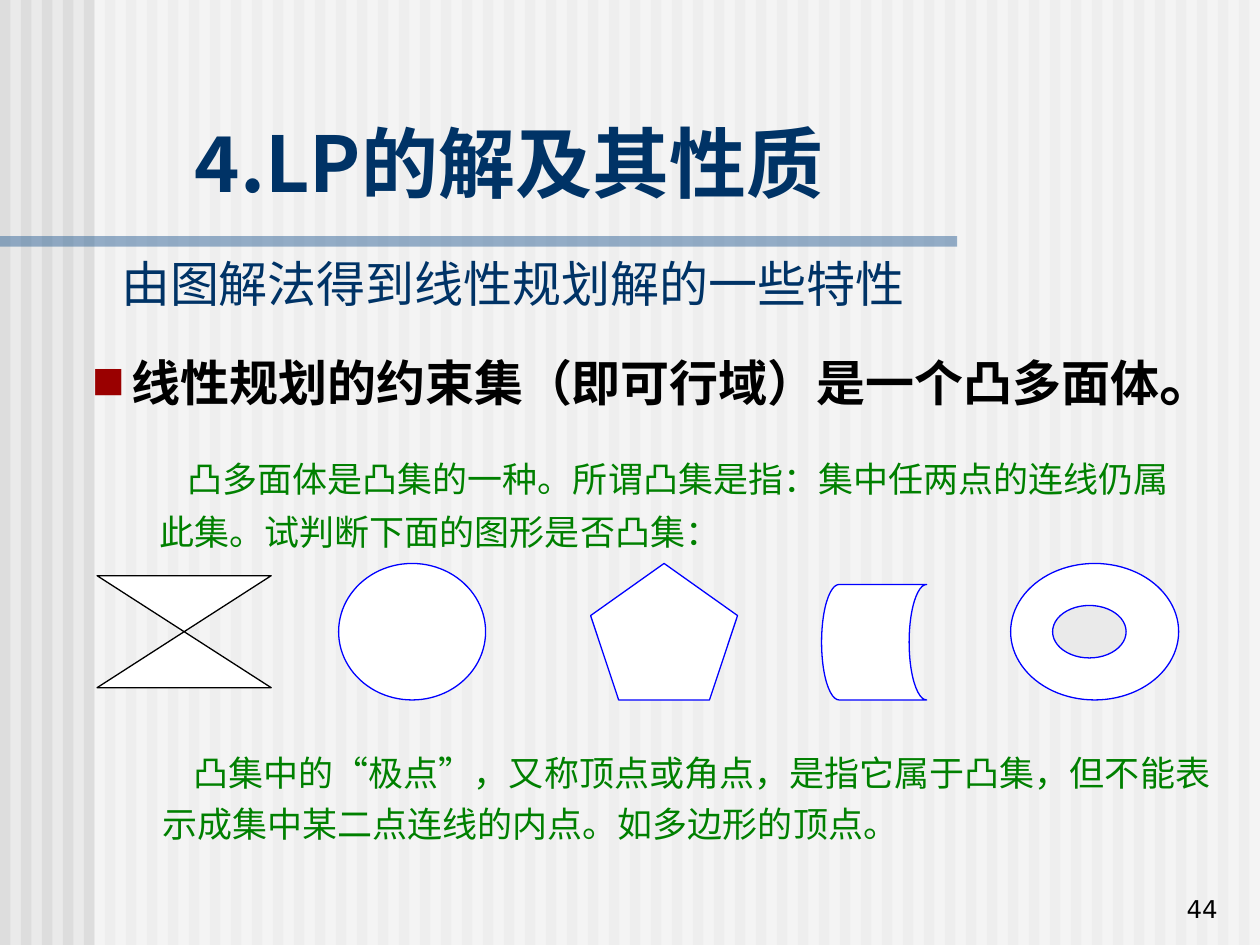
from lxml.etree import SubElement
from pptx import Presentation
from pptx.dml.color import RGBColor
from pptx.enum.shapes import MSO_SHAPE
from pptx.enum.text import MSO_ANCHOR, MSO_AUTO_SIZE, PP_ALIGN
from pptx.oxml.ns import qn
from pptx.util import Pt

BACK = RGBColor(0xEA, 0xEA, 0xEA)
STRIPE = RGBColor(0xDD, 0xDD, 0xDD)
WHITE = RGBColor(0xFF, 0xFF, 0xFF)
BLACK = RGBColor(0, 0, 0)
STEEL = RGBColor(0x33, 0x66, 0x99)
NAVY = RGBColor(0, 0x33, 0x66)
GREEN = RGBColor(0, 0x80, 0)
BLUE = RGBColor(0, 0, 0xFF)
SANS = "DejaVu Sans"
HAN = "Noto Sans CJK SC"

deck = Presentation()
deck.slide_width, deck.slide_height = Pt(720), Pt(540)
slide = deck.slides.add_slide(deck.slide_layouts[1])
slide.background.fill.solid()
slide.background.fill.fore_color.rgb = BACK
shapes = slide.shapes


def draw(kind, box, fill, line=None, alpha=None):
    shape = shapes.add_shape(kind, *map(Pt, box))
    shape.shadow.inherit = False
    shape.fill.solid()
    shape.fill.fore_color.rgb = fill
    if alpha:
        color = shape.fill._xPr.find(qn("a:solidFill"))[0]
        SubElement(color, qn("a:alpha"), val=str(alpha * 1000))
    if line is None:
        shape.line.fill.background()
    else:
        shape.line.color.rgb = line
        shape.line.width = Pt(0.75)


def write(shape, box, lines, font, color, bold=False, space=None,
          indent=0, align=PP_ALIGN.LEFT, anchor=MSO_ANCHOR.TOP):
    """Fill a shape with lines, each a list of (text, size) runs."""
    shape.left, shape.top, shape.width, shape.height = map(Pt, box)
    frame = shape.text_frame
    frame.word_wrap = True
    frame.auto_size = MSO_AUTO_SIZE.NONE
    frame.vertical_anchor = anchor
    for i, runs in enumerate(lines):
        para = frame.add_paragraph() if i else frame.paragraphs[0]
        para.alignment = align
        para.space_before = Pt(0)
        if space:
            para.line_spacing = Pt(space)
        if indent and i == 0:
            para._p.get_or_add_pPr().set("indent", str(Pt(indent)))
        for text, size in runs:
            run = para.add_run()
            run.text = text
            run.font.size = Pt(size)
            run.font.name = font
            run.font.bold = bold
            run.font.color.rgb = color
            SubElement(run._r.get_or_add_rPr(), qn("a:ea"), typeface=HAN)


# Striped backdrop, pale panel and rule
for i in range(60):
    draw(MSO_SHAPE.RECTANGLE, (12 * i, 0, 6, 540), STRIPE)
draw(MSO_SHAPE.RECTANGLE, (54, 0, 666, 540), WHITE, alpha=50)
draw(MSO_SHAPE.RECTANGLE, (0, 135, 547, 6), STEEL, alpha=50)

# Title and body, raised above the backdrop
title, body = slide.placeholders
for holder in (title, body):
    shapes._spTree.append(holder._element)
write(title, (62, 131, 612, 51), [[("由图解法得到线性规划解的一些特性", 28)]],
      SANS, NAVY, space=44, anchor=MSO_ANCHOR.BOTTOM)
write(body, (9.5, 183.5, 710.5, 61),
      [[("线性规划的约束集（即可行域）是一个凸多面体", 28), ("。", 32)]],
      SANS, BLACK, bold=True, space=49)

# Square red bullet
props = body.text_frame.paragraphs[0]._p.get_or_add_pPr()
props.set("marL", str(Pt(58.5)))
props.set("indent", str(Pt(-22.5)))
color = SubElement(props, qn("a:buClr"))
SubElement(color, qn("a:srgbClr"), val="9A0000")
SubElement(props, qn("a:buSzPct"), val="70000")
SubElement(props, qn("a:buFont"), typeface=SANS)
SubElement(props, qn("a:buChar"), char="■")

# Heading, explanations and page number
notes = [
    ((63, 57.5, 456, 60.5), [[("4.LP的解及其性质", 44)]], HAN, NAVY,
     dict(bold=True, space=58, align=PP_ALIGN.CENTER)),
    ((84, 252, 624, 65.5),
     [[("凸多面体是凸集的一种。所谓凸集是指：集中任两点的连线仍属", 20)],
      [("此集。试判断下面的图形是否凸集：", 20)]], HAN, GREEN,
     dict(space=30, indent=16)),
    ((85.5, 421, 619, 84),
     [[("凸集中的“极点”，又称顶点或角点，是指它属于凸集，但不能表", 20)],
      [("示成集中某二点连线的内点。如多边形的顶点。", 20)]], HAN, GREEN,
     dict(space=29, indent=18)),
    ((553, 495, 150, 36), [[("44", 14)]], SANS, BLACK,
     dict(align=PP_ALIGN.RIGHT, anchor=MSO_ANCHOR.BOTTOM)),
]
for box, lines, font, tone, style in notes:
    write(shapes.add_textbox(*map(Pt, box)), box, lines, font, tone, **style)

# Sets to be judged convex or not
sets = [
    (MSO_SHAPE.FLOWCHART_COLLATE, (55.5, 329, 99.5, 64), WHITE, BLACK),
    (MSO_SHAPE.OVAL, (193.5, 322, 84, 78), WHITE, BLUE),
    (MSO_SHAPE.REGULAR_PENTAGON, (337.5, 322, 84, 78), WHITE, BLUE),
    (MSO_SHAPE.FLOWCHART_STORED_DATA, (469.5, 334, 60, 66), WHITE, BLUE),
    (MSO_SHAPE.OVAL, (577.5, 322, 96, 78), WHITE, BLUE),
    (MSO_SHAPE.OVAL, (601.5, 346, 42, 30), BACK, BLUE),
]
for kind, box, fill, line in sets:
    draw(kind, box, fill, line)

deck.save("out.pptx")
